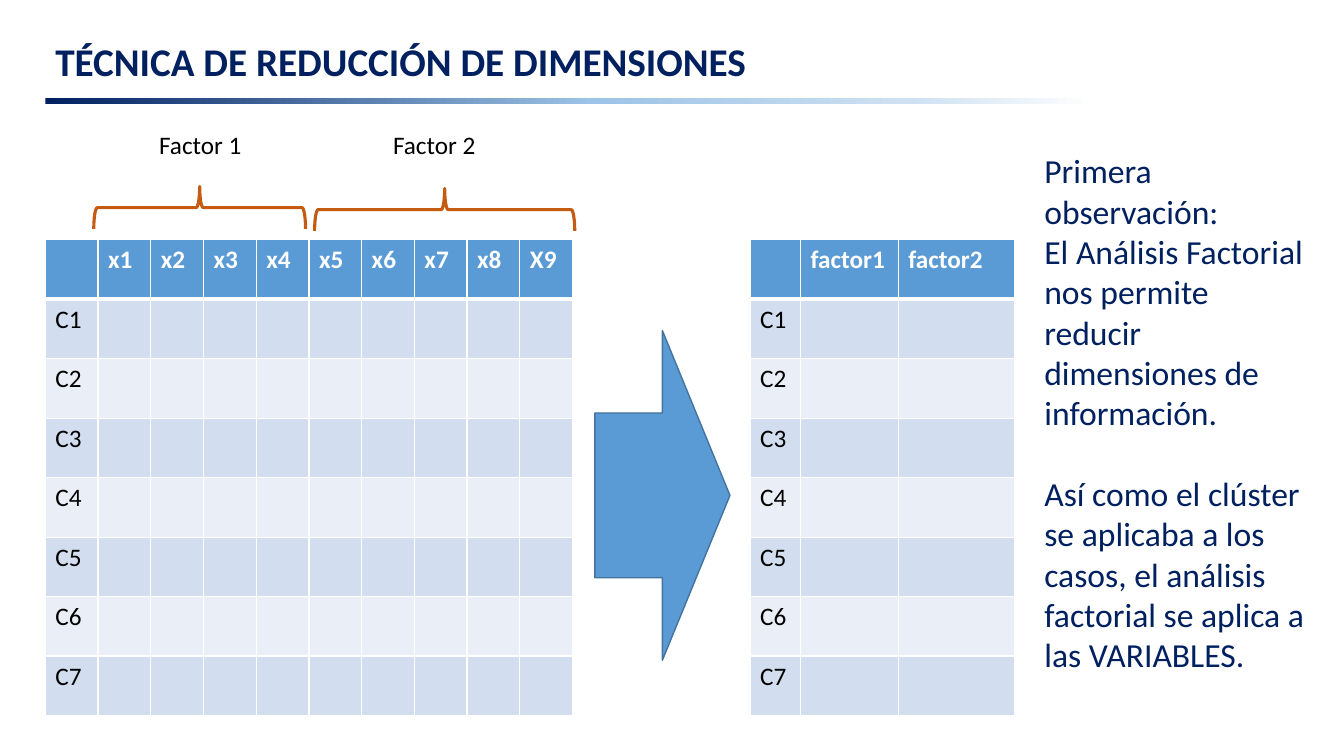
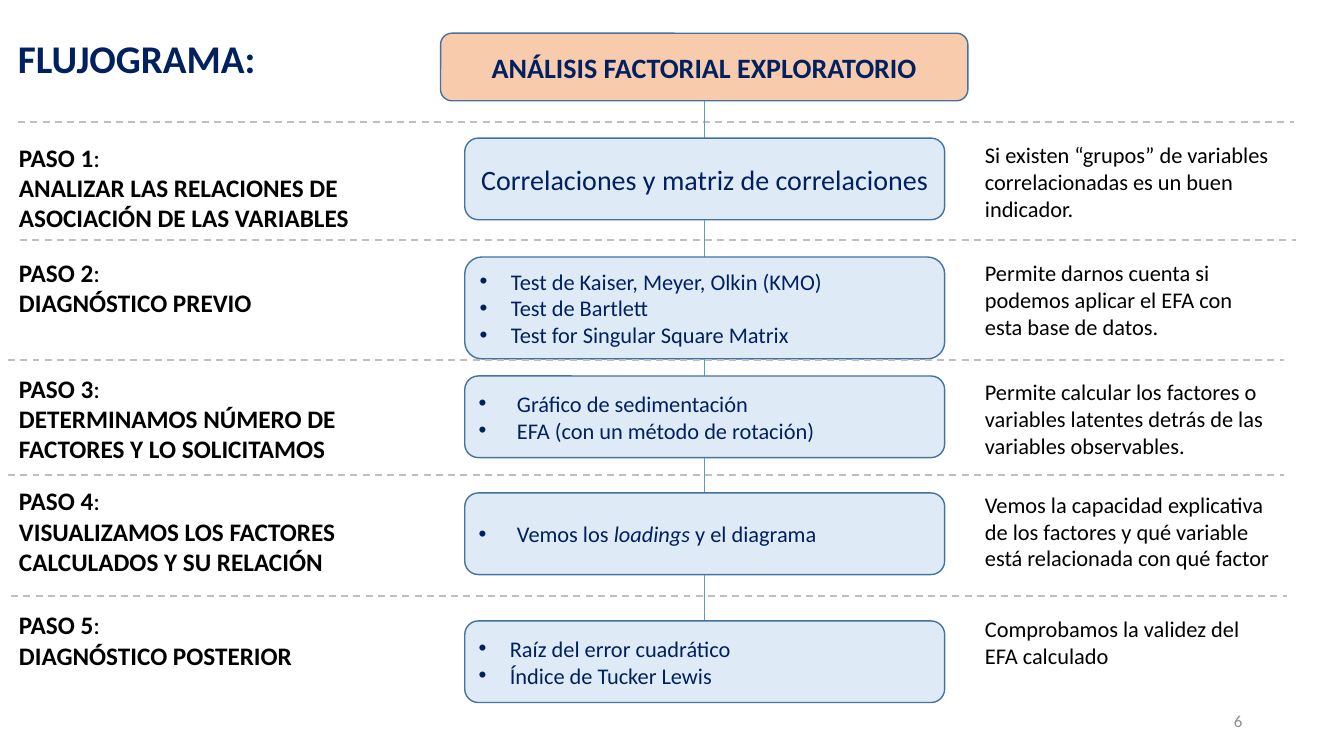
from lxml import etree
from pptx import Presentation
from pptx.dml.color import RGBColor
from pptx.enum.dml import MSO_LINE
from pptx.enum.shapes import MSO_CONNECTOR, MSO_SHAPE
from pptx.enum.text import MSO_ANCHOR, PP_ALIGN
from pptx.oxml.ns import qn
from pptx.util import Inches, Pt

FONT = "Calibri"
COL = {
    "navy": "002060", "blue": "5B9BD5", "edge": "43739E", "pale": "DEEBF7",
    "peach": "F8CBAD", "rust": "C55A11", "dash": "BFBFBF", "gray": "8C8C8C",
    "odd": "D2DEEF", "even": "EAEFF7", "white": "FFFFFF", "black": "000000",
}
FADE = [(0, "002060"), (52, "9DC3E6"), (82, "CEE1F2"), (100, "FFFFFF")]

# Slide 1 content
TITLE = "TÉCNICA DE REDUCCIÓN DE DIMENSIONES"
CASES = [f"C{n}" for n in range(1, 8)]
TABLES = [  # left, column widths, header
    (0.45, [0.523] * 10, ["", "x1", "x2", "x3", "x4", "x5", "x6", "x7", "x8", "X9"]),
    (7.44, [0.5, 0.97, 1.15], ["", "factor1", "factor2"]),
]
FACTORS = [  # label, label left, brace left, brace top, brace span
    ("Factor 1", 1.48, 1.77, 1.01, 2.1),
    ("Factor 2", 3.8, 4.2, 0.79, 2.58),
]
REMARKS = [
    "Primera observación:",
    "El Análisis Factorial nos permite reducir dimensiones de información.",
    "Así como el clúster se aplicaba a los casos, el análisis factorial "
    "se aplica a las VARIABLES.",
]

# Slide 2 content
FLOW = "FLUJOGRAMA:"
HEAD = "ANÁLISIS FACTORIAL EXPLORATORIO"
STEPS = [
    dict(name="ANALIZAR LAS RELACIONES DE ASOCIACIÓN DE LAS VARIABLES",
         items=["Correlaciones y matriz de correlaciones"], size=20, dent=0,
         note="Si existen “grupos” de variables correlacionadas es un buen indicador.",
         rule=(0.18, 1.21), label=1.36, box=(1.37, 0.81), side=1.35),
    dict(name="DIAGNÓSTICO PREVIO",
         items=["Test de Kaiser, Meyer, Olkin (KMO)", "Test de Bartlett",
                "Test for Singular Square Matrix"], size=16, dent=0.31,
         note="Permite darnos cuenta si podemos aplicar el EFA con esta base de datos.",
         rule=(0.2, 2.38), label=2.5, box=(2.55, 1.01), side=2.52),
    dict(name="DETERMINAMOS NÚMERO DE FACTORES Y LO SOLICITAMOS",
         items=["Gráfico de sedimentación", "EFA (con un método de rotación)"],
         size=16, dent=0.38,
         note="Permite calcular los factores o variables latentes detrás de las "
              "variables observables.",
         rule=(0.08, 3.57), label=3.65, box=(3.73, 0.81), side=3.7),
    dict(name="VISUALIZAMOS LOS FACTORES CALCULADOS Y SU RELACIÓN",
         items=[[("Vemos los ", {}), ("loadings ", {"italic": True}),
                 ("y el diagrama", {})]], size=16, dent=0.38,
         note="Vemos la capacidad explicativa de los factores y qué variable "
              "está relacionada con qué factor",
         rule=(0.08, 4.71), label=4.77, box=(4.89, 0.81), side=4.82),
    dict(name="DIAGNÓSTICO POSTERIOR",
         items=["Raíz del error cuadrático", "Índice de Tucker Lewis"],
         size=16, dent=0.31,
         note="Comprobamos la validez del EFA calculado",
         rule=(0.11, 5.91), label=6.0, box=(6.16, 0.81), side=6.05),
]


def rgb(name):
    return RGBColor.from_string(COL[name])


def bullet(para, dent):
    props = para._p.get_or_add_pPr()
    props.set("marL", str(Inches(dent)))
    props.set("indent", str(-Inches(dent)))
    etree.SubElement(props, qn("a:buFont")).set("typeface", "Arial")
    etree.SubElement(props, qn("a:buChar")).set("char", "•")


def write(frame, paras, size, color="black", bold=False,
          align=PP_ALIGN.LEFT, dent=0):
    """Fill a frame; a paragraph is a string or a list of (text, font flags)."""
    for n, runs in enumerate(paras):
        para = frame.add_paragraph() if n else frame.paragraphs[0]
        para.alignment = align
        if dent:
            bullet(para, dent)
        font = para.font
        font.name, font.size, font.bold = FONT, Pt(size), bold
        font.color.rgb = rgb(color)
        for text, flags in [(runs, {})] if isinstance(runs, str) else runs:
            run = para.add_run()
            run.text = text
            for key, value in flags.items():
                setattr(run.font, key, value)


def label(slide, at, paras, size, wrap=True, anchor=MSO_ANCHOR.TOP, **style):
    frame = slide.shapes.add_textbox(*map(Inches, at)).text_frame
    frame.word_wrap = wrap
    frame.vertical_anchor = anchor
    write(frame, paras, size, **style)
    return frame


def title(slide, at, text):
    label(slide, at, [text], 28, anchor=MSO_ANCHOR.MIDDLE, color="navy", bold=True)


def shape(slide, kind, at, fill=None, line=None, width=1):
    item = slide.shapes.add_shape(kind, *map(Inches, at))
    item.shadow.inherit = False
    if fill:
        item.fill.solid()
        item.fill.fore_color.rgb = rgb(fill)
    else:
        item.fill.background()
    if line:
        item.line.color.rgb = rgb(line)
        item.line.width = Pt(width)
    else:
        item.line.fill.background()
    return item


def card(slide, at, fill, paras, size, **style):
    frame = shape(slide, MSO_SHAPE.ROUNDED_RECTANGLE, at, fill, "edge").text_frame
    frame.word_wrap = True
    frame.vertical_anchor = MSO_ANCHOR.MIDDLE
    write(frame, paras, size, color="navy", **style)


def rule(slide, ends, color, width, dash=None):
    line = slide.shapes.add_connector(MSO_CONNECTOR.STRAIGHT, *map(Inches, ends))
    line.line.color.rgb = rgb(color)
    line.line.width = Pt(width)
    if dash:
        line.line.dash_style = dash
    etree.SubElement(line._element.spPr, qn("a:effectLst"))


def fade(item):
    """Left-to-right gradient with the stops of FADE."""
    item.fill.gradient()
    item.fill.gradient_angle = 0
    stops = item._element.spPr.find(qn("a:gradFill")).find(qn("a:gsLst"))
    for old in list(stops):
        stops.remove(old)
    for spot, tone in FADE:
        stop = etree.SubElement(stops, qn("a:gs"), pos=str(spot * 1000))
        etree.SubElement(stop, qn("a:srgbClr"), val=tone)


def border(cell, widths):
    props = cell._tc.get_or_add_tcPr()
    for n, (side, width) in enumerate(zip("LRTB", widths)):
        line = etree.Element(qn(f"a:ln{side}"), w=str(Pt(width)))
        fill = etree.SubElement(line, qn("a:solidFill"))
        etree.SubElement(fill, qn("a:srgbClr"), val=COL["white"])
        props.insert(n, line)


def grid(slide, left, widths, head):
    rows = [head] + [[case] + [""] * (len(head) - 1) for case in CASES]
    at = map(Inches, (left, 2.38, sum(widths), 4.72))
    table = slide.shapes.add_table(len(rows), len(head), *at).table
    for col, width in zip(table.columns, widths):
        col.width = Inches(width)
    for r, row in enumerate(rows):
        for c, text in enumerate(row):
            cell = table.cell(r, c)
            cell.fill.solid()
            cell.fill.fore_color.rgb = rgb(
                "blue" if r == 0 else "odd" if r % 2 else "even")
            border(cell, (1, 1, 3 if r == 1 else 1, 3 if r == 0 else 1))
            if text:
                write(cell.text_frame, [text], 18,
                      "black" if r else "white", bold=r == 0)


def reduction(slide):
    title(slide, (0.45, 0.29, 10.88, 0.63), TITLE)
    fade(shape(slide, MSO_SHAPE.RECTANGLE, (0.45, 0.97, 10.44, 0.06)))
    for spec in TABLES:
        grid(slide, *spec)
    for text, left, x, y, span in FACTORS:
        brace = shape(slide, MSO_SHAPE.LEFT_BRACE, (x, y, 0.42, span),
                      line="rust", width=2.25)
        brace.rotation = 90
        label(slide, (left, 1.23, 1.03, 0.4), [text], 18, wrap=False)
    shape(slide, MSO_SHAPE.RIGHT_ARROW, (5.9, 3.28, 1.34, 3.27), "blue", "edge")
    frame = label(slide, (10.26, 1.44, 2.8, 5.35), REMARKS, 24, color="navy")
    frame.paragraphs[-1].space_before = Pt(29)


def flowchart(slide):
    title(slide, (0.08, 0.29, 3.11, 0.57), FLOW)
    card(slide, (4.37, 0.33, 5.23, 0.67), "peach", [HEAD], 20,
         bold=True, align=PP_ALIGN.CENTER)
    low = 1.0  # bottom of the box above
    for n, step in enumerate(STEPS, 1):
        x, y = step["rule"]
        rule(slide, (x, y, x + 12.65, y), "dash", 1.25, MSO_LINE.DASH)
        top, high = step["box"]
        rule(slide, (6.99, low, 6.99, top), "blue", 0.5)
        low = top + high
        card(slide, (4.61, top, 4.76, high), "pale", step["items"], step["size"],
             dent=step["dent"],
             align=PP_ALIGN.LEFT if step["dent"] else PP_ALIGN.CENTER)
        heading = [(f"PASO {n}", {}), (":", {"bold": False})]
        label(slide, (0.09, step["label"], 3.96, 1.01),
              [heading, step["name"]], 18, bold=True)
        label(slide, (9.67, step["side"], 3.05, 0.91), [step["note"]], 16)
    label(slide, (9.42, 6.95, 3, 0.4), ["6"], 12, anchor=MSO_ANCHOR.MIDDLE,
          color="gray", align=PP_ALIGN.RIGHT)


def main():
    deck = Presentation()
    deck.slide_width, deck.slide_height = Inches(13.33), Inches(7.5)
    for build in (reduction, flowchart):
        build(deck.slides.add_slide(deck.slide_layouts[6]))
    deck.save("out.pptx")


if __name__ == "__main__":
    main()
